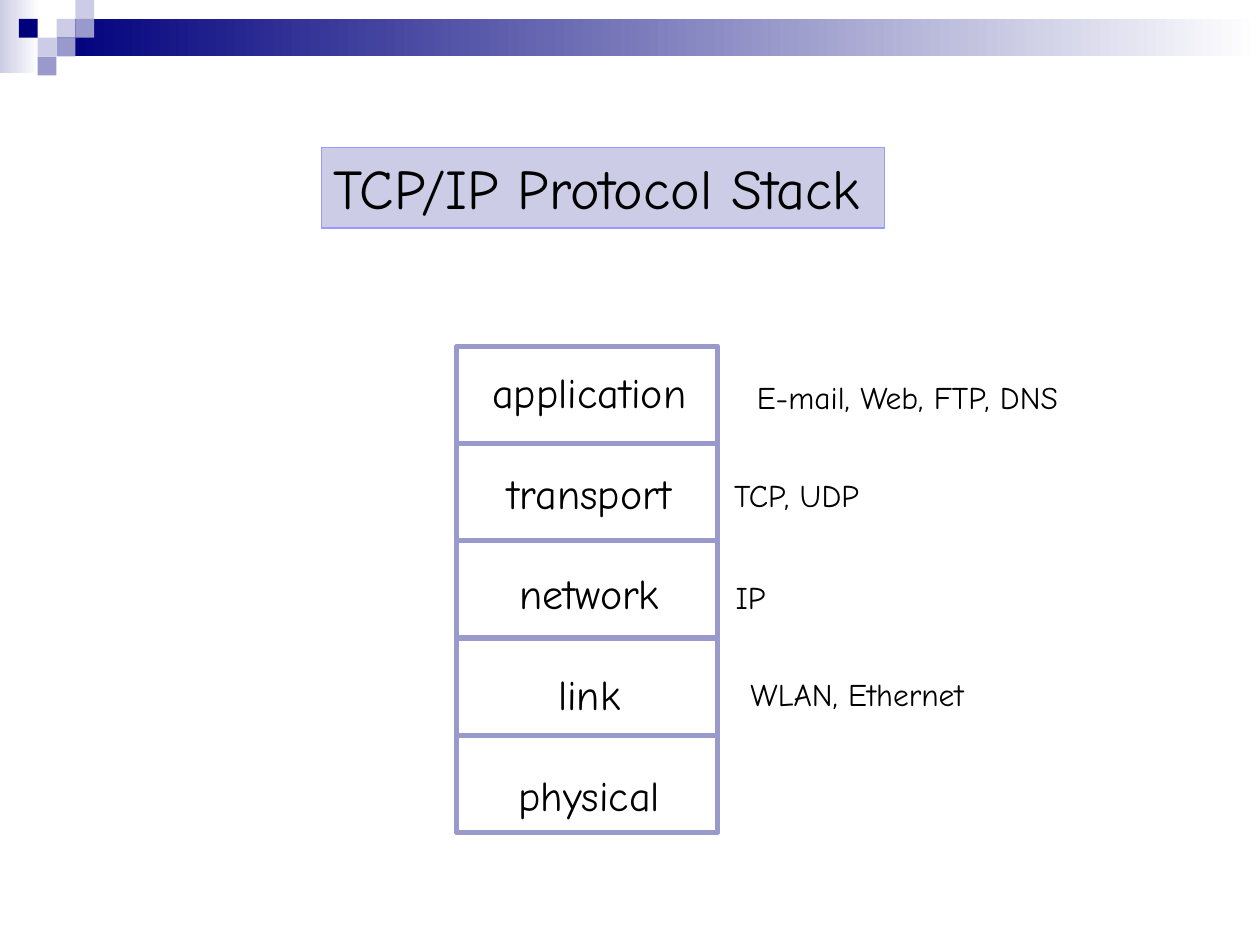
from lxml import etree
from pptx import Presentation
from pptx.dml.color import RGBColor
from pptx.enum.shapes import MSO_CONNECTOR, MSO_SHAPE
from pptx.enum.text import MSO_ANCHOR, PP_ALIGN
from pptx.oxml.ns import qn
from pptx.util import Cm, Pt

RECTANGLE = MSO_SHAPE.RECTANGLE
STRAIGHT = MSO_CONNECTOR.STRAIGHT
TOP = MSO_ANCHOR.TOP
LEFT, CENTER = PP_ALIGN.LEFT, PP_ALIGN.CENTER

BLACK = RGBColor(0x00, 0x00, 0x00)
WHITE = RGBColor(0xFF, 0xFF, 0xFF)
NAVY = RGBColor(0x00, 0x00, 0x7D)
LAVENDER = RGBColor(0xCC, 0xCC, 0xE6)
PERIWINKLE = RGBColor(0x99, 0x99, 0xCC)
TITLE_EDGE = RGBColor(0x99, 0x99, 0xFF)

FONT = "Comic Neue"
PAGE_WIDTH, PAGE_HEIGHT = 25.4, 19.05
TILE = 0.38
TILES = [  # column, row, colour
    (3, 1, LAVENDER), (4, 0, LAVENDER), (4, 1, PERIWINKLE), (2, 2, LAVENDER),
    (1, 1, NAVY), (3, 2, PERIWINKLE), (2, 3, PERIWINKLE),
]
LAYERS = ["application", "transport", "network", "link", "physical"]
PROTOCOLS = [  # text, left, top, width
    ("E-mail, Web, FTP, DNS", 15.01, 7.49, 6.65),
    ("TCP, UDP", 14.55, 9.47, 3.1),
    ("IP", 14.58, 11.53, 1.12),
    ("WLAN, Ethernet", 14.88, 13.49, 4.8),
]


def centimetres(box):
    return [Cm(length) for length in box]


def add_rectangle(page, box, fill, edge=None, weight=0.75):
    """Fill with one colour, or with a left-to-right gradient if given a pair."""
    shape = page.shapes.add_shape(RECTANGLE, *centimetres(box))
    shape.shadow.inherit = False
    if isinstance(fill, RGBColor):
        shape.fill.solid()
        shape.fill.fore_color.rgb = fill
    else:
        shape.fill.gradient()
        shape.fill.gradient_angle = 0
        for stop, color in zip(shape.fill.gradient_stops, fill):
            stop.color.rgb = color
    if edge is None:
        shape.line.fill.background()
    else:
        shape.line.color.rgb = edge
        shape.line.width = Pt(weight)
    return shape


def write_text(shape, *lines, size, align=LEFT, gap=0):
    frame = shape.text_frame
    frame.word_wrap = False
    frame.vertical_anchor = TOP
    for index, line in enumerate(lines):
        para = frame.add_paragraph() if index else frame.paragraphs[0]
        para.alignment = align
        if index:
            para.space_before = Pt(gap)
        span = para.add_run()
        span.text = line
        span.font.name = FONT
        span.font.size = Pt(size)
        span.font.color.rgb = BLACK


def add_text(page, box, *lines, **style):
    write_text(page.shapes.add_textbox(*centimetres(box)), *lines, **style)


def add_divider(page, left, top, width):
    line = page.shapes.add_connector(
        STRAIGHT, *centimetres((left, top, left + width, top)))
    line.line.color.rgb = PERIWINKLE
    line.line.width = Pt(3)
    etree.SubElement(line._element.spPr, qn("a:effectLst"))


def draw_banner(page, left, top, width):
    add_rectangle(page, (left, top, 0.79, 1.47), (LAVENDER, WHITE))
    bar_left = left + 3 * TILE
    add_rectangle(page, (bar_left, top + TILE, left + width - bar_left, 2 * TILE),
                  (NAVY, WHITE))
    for column, row, color in TILES:
        add_rectangle(page, (left + column * TILE, top + row * TILE, TILE, TILE), color)


def draw_title(page, box):
    panel = add_rectangle(page, box, LAVENDER, TITLE_EDGE)
    write_text(panel, "TCP/IP Protocol Stack", size=32)


def draw_stack(page, left, top, width, height):
    add_rectangle(page, (left, top, width, height), WHITE, PERIWINKLE, 3)
    add_text(page, (left + 0.46, top + 0.28, width - 0.84, height - 0.4), *LAYERS,
             size=24, align=CENTER, gap=28.8)
    for index in range(1, len(LAYERS)):
        add_divider(page, left, top + index * height / len(LAYERS), width)


def draw_protocols(page):
    for text, left, top, width in PROTOCOLS:
        add_text(page, (left, top, width, 1.02), text, size=18)


def main():
    deck = Presentation()
    deck.slide_width, deck.slide_height = Cm(PAGE_WIDTH), Cm(PAGE_HEIGHT)
    page = deck.slides.add_slide(deck.slide_layouts[6])
    draw_banner(page, 0, 0, PAGE_WIDTH)
    draw_stack(page, 9.21, 6.98, 5.26, 9.8)
    draw_title(page, (6.48, 2.97, 11.35, 1.63))
    draw_protocols(page)
    deck.save("out.pptx")


if __name__ == "__main__":
    main()
